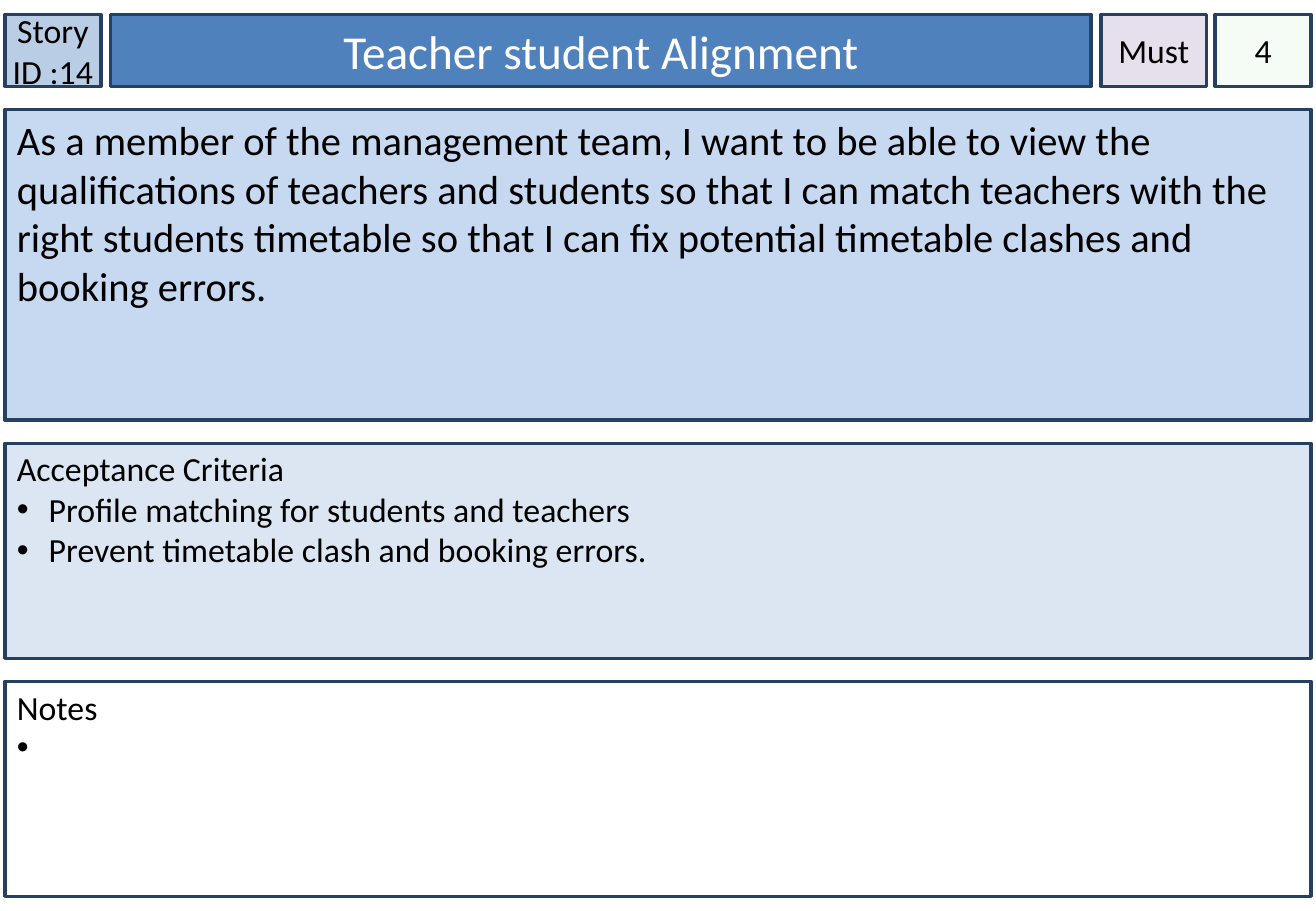
from lxml import etree
from pptx import Presentation
from pptx.dml.color import RGBColor
from pptx.enum import shapes, text
from pptx.oxml.ns import qn
from pptx.util import Inches, Pt

FONT = "Calibri"
BORDER = "254061"
LEFT, WIDTH = 0.04, 10.75
HEADER_TOP, HEADER_HEIGHT = 0.12, 0.59
STORY = (
    "As a member of the management team, I want to be able to view the "
    "qualifications of teachers and students so that I can match teachers "
    "with the right students timetable so that I can fix potential "
    "timetable clashes and booking errors."
)


def color(value):
    """Turn a hex string into a colour."""
    return RGBColor.from_string(value)


def add_text(p, content, size=20, ink="000000", align=text.PP_ALIGN.LEFT):
    """Write one formatted run into a paragraph."""
    p.alignment = align
    r = p.add_run()
    r.text = content
    r.font.name = FONT
    r.font.size = Pt(size)
    r.font.color.rgb = color(ink)


def add_bullet(p, indent=0.2):
    """Give a paragraph a hanging round bullet."""
    pPr = p._p.get_or_add_pPr()
    pPr.set("marL", str(Inches(indent)))
    pPr.set("indent", str(-Inches(indent)))
    etree.SubElement(pPr, qn("a:buFont")).set("typeface", "Arial")
    etree.SubElement(pPr, qn("a:buChar")).set("char", "•")


def set_opacity(sp, percent):
    """Make a solid fill partly transparent."""
    clr = sp._element.spPr.find(qn("a:solidFill"))[0]
    etree.SubElement(clr, qn("a:alpha")).set("val", str(percent * 1000))


def add_box(s, left, top, width, height, fill, side=0.1, inset_top=0.05,
            anchor=text.MSO_ANCHOR.TOP, wrap=True):
    """Draw a bordered rectangle ready for text."""
    sp = s.shapes.add_shape(shapes.MSO_SHAPE.RECTANGLE, Inches(left),
                            Inches(top), Inches(width), Inches(height))
    sp.shadow.inherit = False
    sp.fill.solid()
    sp.fill.fore_color.rgb = color(fill)
    sp.line.color.rgb = color(BORDER)
    sp.line.width = Pt(2)
    tf = sp.text_frame
    tf.word_wrap = wrap
    tf.vertical_anchor = anchor
    tf.margin_left = tf.margin_right = Inches(side)
    tf.margin_top, tf.margin_bottom = Inches(inset_top), Inches(0.05)
    return sp


def add_header(s, left, width, fill, content, side=0, wrap=True, **style):
    """Draw a header cell with centred text."""
    sp = add_box(s, left, HEADER_TOP, width, HEADER_HEIGHT, fill, side=side,
                 anchor=text.MSO_ANCHOR.MIDDLE, wrap=wrap)
    add_text(sp.text_frame.paragraphs[0], content,
             align=text.PP_ALIGN.CENTER, **style)
    return sp


def add_list_panel(s, top, fill, heading, items):
    """Draw a full-width panel with a heading and bullets."""
    sp = add_box(s, LEFT, top, WIDTH, 1.77, fill, inset_top=0.04)
    tf = sp.text_frame
    add_text(tf.paragraphs[0], heading)
    for item in items:
        p = tf.add_paragraph()
        add_text(p, item)
        add_bullet(p)


def main():
    """Build the user story card."""
    prs = Presentation()
    prs.slide_width, prs.slide_height = Inches(10.83), Inches(7.5)
    s = prs.slides.add_slide(prs.slide_layouts[6])

    add_header(s, LEFT, 0.79, "B9CDE5", "Story ID :14")
    add_header(s, 0.91, 8.07, "4F81BD", "Teacher student Alignment",
               side=0.1, size=28, ink="FFFFFF")
    add_header(s, 9.06, 0.87, "E6E0EC", "Must", wrap=False)
    points = add_header(s, 10, 0.79, "CCF0CD", "4")
    set_opacity(points, 20)

    story = add_box(s, LEFT, 0.9, WIDTH, 2.56, "C6D9F1")
    add_text(story.text_frame.paragraphs[0], STORY, size=24)
    add_list_panel(s, 3.65, "DCE6F2", "Acceptance Criteria",
                   [" Profile matching for students and teachers ",
                    " Prevent timetable clash and booking errors."])
    add_list_panel(s, 5.61, "FFFFFF", "Notes", [" "])

    prs.save("out.pptx")


main()
